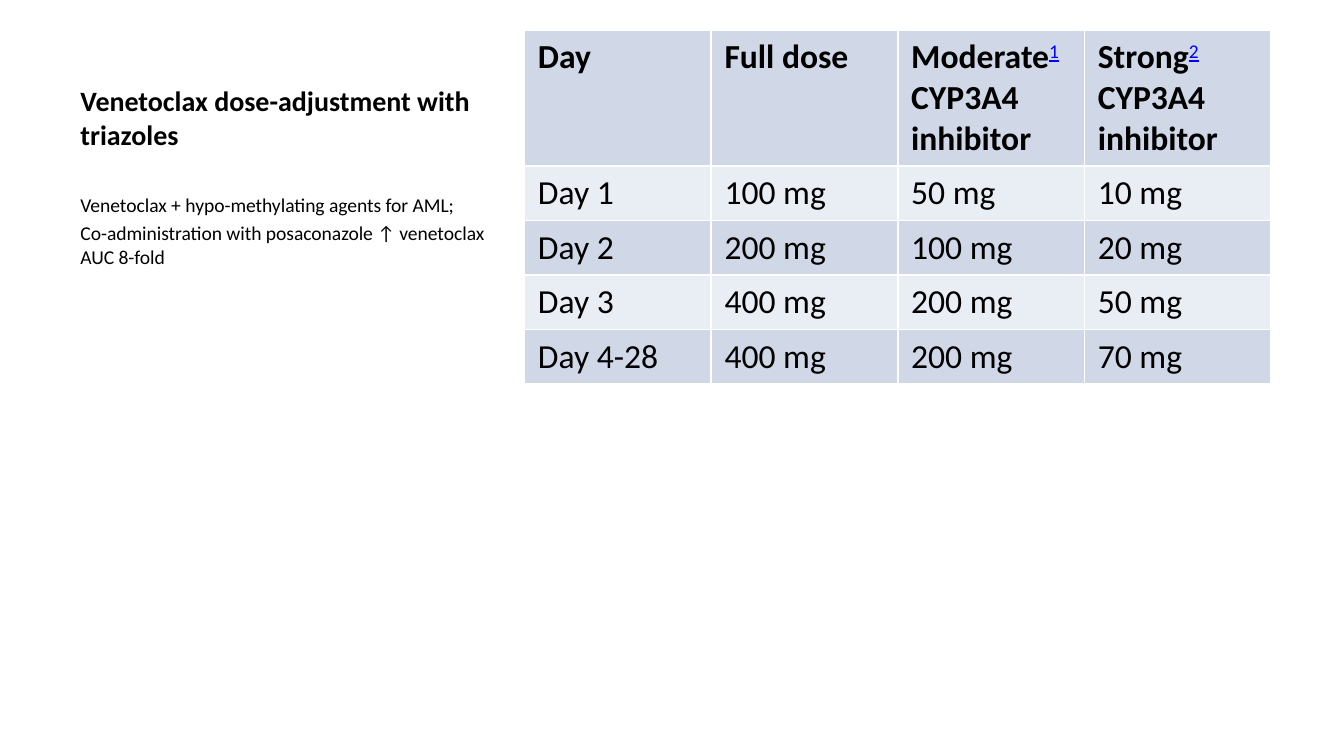
from dataclasses import dataclass

from lxml.etree import SubElement
from pptx import Presentation
from pptx.dml.color import RGBColor
from pptx.enum.text import MSO_ANCHOR
from pptx.oxml.ns import qn
from pptx.util import Pt


@dataclass(frozen=True)
class Theme:
    """Fonts, type sizes and colours of the slide."""
    font: str = "Calibri"
    title: float = 15
    body: float = 10.5
    table: float = 18
    text: str = "000000"
    note: str = "0000FF"
    border: str = "FFFFFF"
    bands: tuple = ("D0D8E8", "E9EDF4")


THEME = Theme()
TITLE = "Venetoclax dose-adjustment with triazoles"
BODY = [
    "Venetoclax + hypo-methylating agents for AML;",
    "Co-administration with posaconazole ↑ venetoclax AUC 8-fold",
]
HEADER = [
    ("Day",),
    ("Full dose",),
    ("Moderate", "1", "CYP3A4 inhibitor"),
    ("Strong", "2", "CYP3A4 inhibitor"),
]
DOSES = [
    ("Day 1", "100 mg", "50 mg", "10 mg"),
    ("Day 2", "200 mg", "100 mg", "20 mg"),
    ("Day 3", "400 mg", "200 mg", "50 mg"),
    ("Day 4-28", "400 mg", "200 mg", "70 mg"),
]


def add_run(p, text, size, color=THEME.text, **fmt):
    """Add a formatted run to a paragraph."""
    r = p.add_run()
    r.text = text
    for name, value in {"name": THEME.font, "size": Pt(size), **fmt}.items():
        setattr(r.font, name, value)
    r.font.color.rgb = RGBColor.from_string(color)
    return r


def add_text(s, box, lines, size, frame=None, gap=0, **fmt):
    """Add a wrapping text box with one paragraph per line."""
    tf = s.shapes.add_textbox(*map(Pt, box)).text_frame
    for name, value in {"word_wrap": True, **(frame or {})}.items():
        setattr(tf, name, value)
    for i, line in enumerate(lines):
        p = tf.add_paragraph() if i else tf.paragraphs[0]
        p.space_before = Pt(gap if i else 0)
        add_run(p, line, size, **fmt)


def style_cell(cell, fill):
    """Give a cell thin borders and a solid fill."""
    pr = cell._tc.get_or_add_tcPr()
    for side in ("lnL", "lnR", "lnT", "lnB"):
        ln = SubElement(pr, qn(f"a:{side}"), w=str(Pt(1)))
        SubElement(SubElement(ln, qn("a:solidFill")), qn("a:srgbClr"), val=THEME.border)
    cell.fill.solid()
    cell.fill.fore_color.rgb = RGBColor.from_string(fill)


def fill_header(p, label, note=None, rest=None):
    """Write a bold heading with an optional superscript note number."""
    add_run(p, label, THEME.table, bold=True)
    if note:
        r = add_run(p, note, THEME.table, THEME.note, bold=False, underline=True)
        r.font._element.set("baseline", "30000")
        add_run(p, " ", THEME.table, bold=False)
        add_run(p, rest, THEME.table, bold=True)


def add_dose_table(s, left, top, col_width, header_height, row_height):
    """Add the banded dose table."""
    rows, cols = len(DOSES) + 1, len(HEADER)
    height = header_height + row_height * len(DOSES)
    box = map(Pt, (left, top, col_width * cols, height))
    table = s.shapes.add_table(rows, cols, *box).table
    table.first_row = table.horz_banding = False
    for i, row in enumerate([HEADER, *DOSES]):
        table.rows[i].height = Pt(row_height if i else header_height)
        for j, value in enumerate(row):
            cell = table.cell(i, j)
            style_cell(cell, THEME.bands[i % 2])
            p = cell.text_frame.paragraphs[0]
            if i:
                add_run(p, value, THEME.table, bold=False)
            else:
                fill_header(p, *value)


def main():
    """Build the slide and save it."""
    prs = Presentation()
    prs.slide_width, prs.slide_height = Pt(720), Pt(405)
    s = prs.slides.add_slide(prs.slide_layouts[6])
    add_text(s, (36, 16, 237, 68.5), [TITLE], THEME.title,
             {"vertical_anchor": MSO_ANCHOR.BOTTOM}, bold=True)
    add_text(s, (36, 85, 237, 277), BODY, THEME.body,
             {"margin_top": Pt(18.5)}, gap=2.4)
    add_dose_table(s, 281, 16, 100, 73, 29.2)
    prs.save("out.pptx")


if __name__ == "__main__":
    main()
